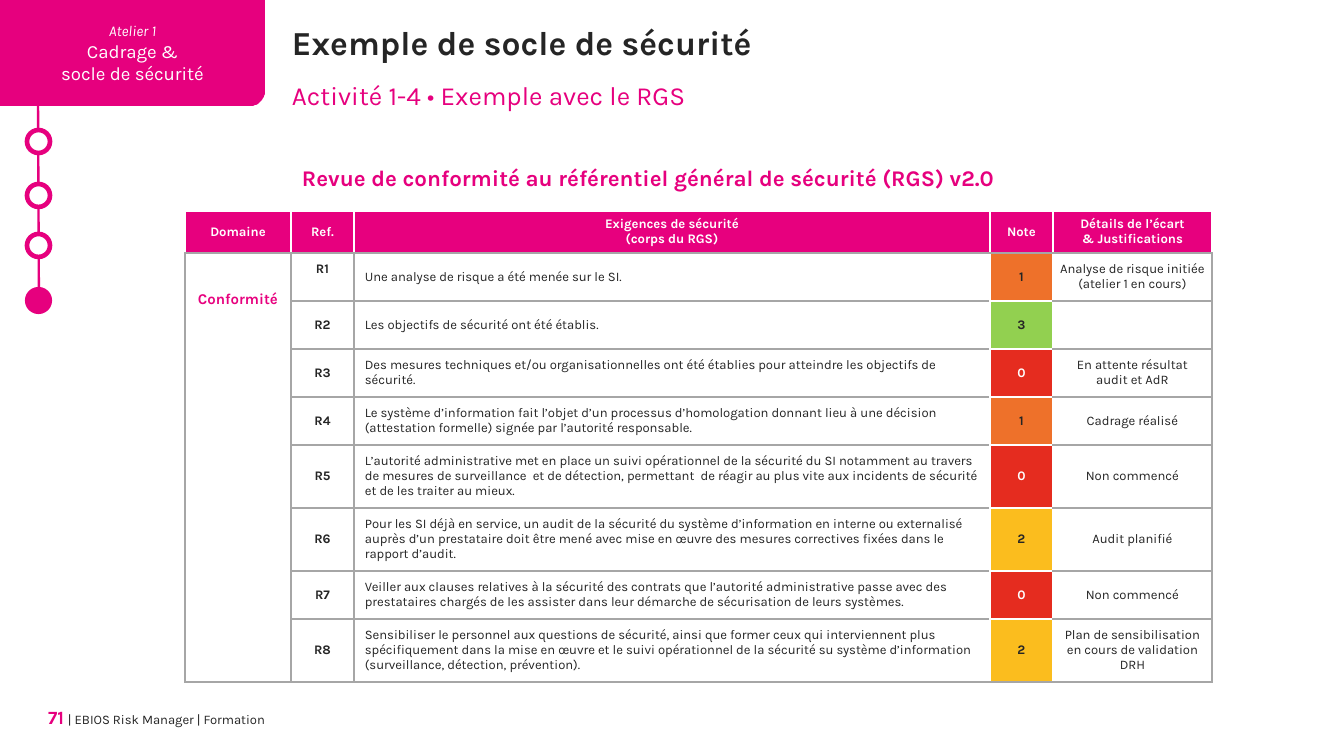
"""Build the slide reviewing compliance with the RGS security baseline."""
import math

from lxml import etree
from pptx import Presentation
from pptx.dml.color import RGBColor
from pptx.enum.shapes import MSO_CONNECTOR, MSO_SHAPE
from pptx.enum.text import MSO_ANCHOR, PP_ALIGN
from pptx.oxml.ns import qn
from pptx.util import Pt

PX = 914400 / 134.4
LEFT, CENTER, RIGHT = PP_ALIGN.LEFT, PP_ALIGN.CENTER, PP_ALIGN.RIGHT
TOP, MIDDLE = MSO_ANCHOR.TOP, MSO_ANCHOR.MIDDLE
STRAIGHT, OVAL = MSO_CONNECTOR.STRAIGHT, MSO_SHAPE.OVAL
COLORS = {
    "pink": "E6007E", "header": "E7007E", "text": "252525", "white": "FFFFFF",
    "grid": "A6A6A6", "red": "E52C1F", "orange": "EE712A",
    "yellow": "FBBD1E", "green": "92D050",
}
RGB = {name: RGBColor.from_string(value) for name, value in COLORS.items()}


def write(paragraph, text, size=7, color="text", bold=False, italic=False, align=LEFT):
    paragraph.alignment = align
    run = paragraph.add_run()
    run.text = text
    font = run.font
    font.name, font.size, font.bold, font.italic = "Karla", Pt(size), bold, italic
    font.color.rgb = RGB[color]


def style_cell(cell, fill, borders, left=0, right=0, top=0, bottom=0, anchor=MIDDLE):
    cell.fill.solid()
    cell.fill.fore_color.rgb = RGB[fill]
    cell.margin_left, cell.margin_right = round(left * PX), round(right * PX)
    cell.margin_top, cell.margin_bottom = round(top * PX), round(bottom * PX)
    cell.vertical_anchor = anchor
    properties = cell._tc.get_or_add_tcPr()
    for place, (side, code) in enumerate(zip("LRTB", borders)):
        line = etree.Element(qn(f"a:ln{side}"), w=str(Pt(1)))
        solid = etree.SubElement(line, qn("a:solidFill"))
        shade = COLORS["white" if code == "W" else "grid"]
        etree.SubElement(solid, qn("a:srgbClr"), val=shade)
        properties.insert(place, line)


presentation = Presentation()
presentation.slide_width, presentation.slide_height = round(1344 * PX), round(756 * PX)
slide = presentation.slides.add_slide(presentation.slide_layouts[5])
shapes = slide.shapes

timeline = shapes.add_connector(
    STRAIGHT, *(round(n * PX) for n in (38, 90, 39, 313)))
timeline.line.color.rgb = RGB["pink"]
timeline.line.width = Pt(1.25)
etree.SubElement(timeline._element.spPr, qn("a:effectLst"))

for top, fill, width in [(130, "white", 2.5), (184, "white", 2.5),
                         (234, "white", 2.5), (289, "pink", 2.25)]:
    step = shapes.add_shape(OVAL, *(round(n * PX) for n in (27, top, 23, 23)))
    step.shadow.inherit = False
    step.fill.solid()
    step.fill.fore_color.rgb = RGB[fill]
    step.line.color.rgb = RGB["pink"]
    step.line.width = Pt(width)

radius = 15
corner = [(265 - radius + radius * math.cos(math.radians(angle)),
           106 - radius + radius * math.sin(math.radians(angle)))
          for angle in range(0, 91, 6)]
outline = shapes.build_freeform(0, 0, scale=PX)
outline.add_line_segments([(265, 0), *corner, (0, 106)], close=True)
workshop = outline.convert_to_shape()
workshop.shadow.inherit = False
workshop.fill.solid()
workshop.fill.fore_color.rgb = RGB["pink"]
workshop.line.fill.background()
frame = workshop.text_frame
frame.word_wrap = True
frame.vertical_anchor = MIDDLE
write(frame.paragraphs[0], "Atelier 1", size=8, color="white", italic=True, align=CENTER)
for line in ["Cadrage &", "socle de sécurité"]:
    write(frame.add_paragraph(), line, size=10, color="white", align=CENTER)

headings = [
    (shapes.title, (292, 22, 1005, 40),
     [("Exemple de socle de sécurité", dict(size=18, bold=True))]),
    (None, (292, 79, 946, 32),
     [("Activité 1-4 • Exemple avec le RGS", dict(size=14, color="pink"))]),
    (None, (302, 164, 724, 27),
     [("Revue de conformité au référentiel général de sécurité (RGS) v2.0",
       dict(size=12, color="pink", bold=True))]),
    (None, (27, 706, 238, 27),
     [("71", dict(size=10, color="pink", bold=True, align=RIGHT)),
      (" ", dict(size=9, align=RIGHT)),
      ("| EBIOS Risk Manager | Formation", dict(align=RIGHT))]),
]
for holder, box, runs in headings:
    holder = holder or shapes.add_textbox(0, 0, 0, 0)
    holder.left, holder.top, holder.width, holder.height = (round(n * PX) for n in box)
    frame = holder.text_frame
    frame.word_wrap = True
    frame.vertical_anchor = TOP
    frame.margin_left = frame.margin_right = frame.margin_top = frame.margin_bottom = 0
    for text, look in runs:
        write(frame.paragraphs[0], text, **look)

column_widths = [106, 63, 636, 63, 159]
row_heights = [42, 48, 48, 48, 48, 63, 63, 48, 63]
headers = [["Domaine"], ["Ref."], ["Exigences de sécurité", "(corps du RGS)"],
           ["Note"], ["Détails de l’écart", "& Justifications"]]
requirements = [
    ("Une analyse de risque a été menée sur le SI.", 1,
     "Analyse de risque initiée (atelier 1 en cours)"),
    ("Les objectifs de sécurité ont été établis.", 3, ""),
    ("Des mesures techniques et/ou organisationnelles ont été établies pour atteindre "
     "les objectifs de sécurité.", 0, "En attente résultat audit et AdR"),
    ("Le système d’information fait l’objet d’un processus d’homologation donnant lieu "
     "à une décision (attestation formelle) signée par l’autorité responsable.", 1,
     "Cadrage réalisé"),
    ("L’autorité administrative met en place un suivi opérationnel de la sécurité du SI "
     "notamment au travers de mesures de surveillance  et de détection, permettant  de "
     "réagir au plus vite aux incidents de sécurité et de les traiter au mieux.", 0,
     "Non commencé"),
    ("Pour les SI déjà en service, un audit de la sécurité du système d’information en "
     "interne ou externalisé auprès d’un prestataire doit être mené avec mise en œuvre "
     "des mesures correctives fixées dans le rapport d’audit.", 2, "Audit planifié"),
    ("Veiller aux clauses relatives à la sécurité des contrats que l’autorité "
     "administrative passe avec des prestataires chargés de les assister dans leur "
     "démarche de sécurisation de leurs systèmes.", 0, "Non commencé"),
    ("Sensibiliser le personnel aux questions de sécurité, ainsi que former ceux qui "
     "interviennent plus spécifiquement dans la mise en œuvre et le suivi opérationnel "
     "de la sécurité su système d’information (surveillance, détection, prévention).", 2,
     "Plan de sensibilisation en cours de validation DRH"),
]
note_fills = ["red", "orange", "yellow", "green"]

table = shapes.add_table(
    len(row_heights), len(column_widths), round(185 * PX), round(211 * PX),
    round(sum(column_widths) * PX), round(sum(row_heights) * PX)).table
table.first_row = table.horz_banding = False
for column, width in zip(table.columns, column_widths):
    column.width = round(width * PX)
for row, height in zip(table.rows, row_heights):
    row.height = round(height * PX)

for index, lines in enumerate(headers):
    cell = table.cell(0, index)
    style_cell(cell, "header", "WWWG", left=7, right=7)
    for number, line in enumerate(lines):
        frame = cell.text_frame
        paragraph = frame.add_paragraph() if number else frame.paragraphs[0]
        write(paragraph, line, color="white", bold=True, align=CENTER)

last = len(requirements)
for number, (requirement, note, detail) in enumerate(requirements, 1):
    domain, reference, demand, score, gap = table.rows[number].cells
    style_cell(domain, "white", "GGGG", top=38, anchor=TOP)
    style_cell(reference, "white", "GGGG", bottom=16 if number == 1 else 0)
    style_cell(demand, "white", "GWGG", left=11, right=7)
    score_borders = "WW" + ("G" if number == 1 else "W") + ("G" if number == last else "W")
    style_cell(score, note_fills[note], score_borders, left=7, right=7)
    style_cell(gap, "white", "WGGG", left=7, right=7)
    write(reference.text_frame.paragraphs[0], f"R{number}", bold=True, align=CENTER)
    write(demand.text_frame.paragraphs[0], requirement)
    write(score.text_frame.paragraphs[0], str(note), bold=True, align=CENTER,
          color="text" if note else "white")
    if detail:
        write(gap.text_frame.paragraphs[0], detail, align=CENTER)

table.cell(1, 0).merge(table.cell(last, 0))
write(table.cell(1, 0).text_frame.paragraphs[0], "Conformité",
      size=8, color="header", bold=True, align=CENTER)

presentation.save("out.pptx")
